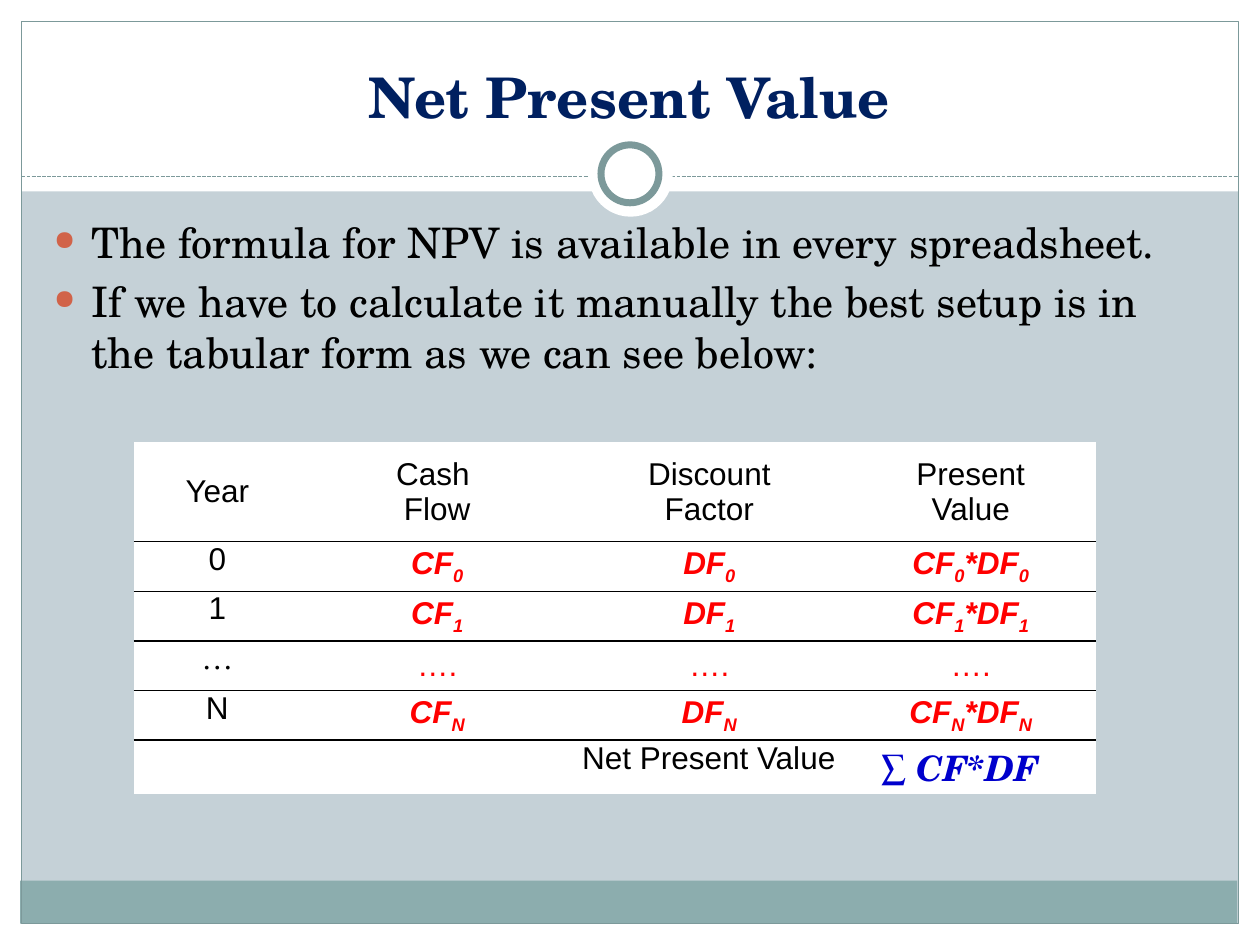
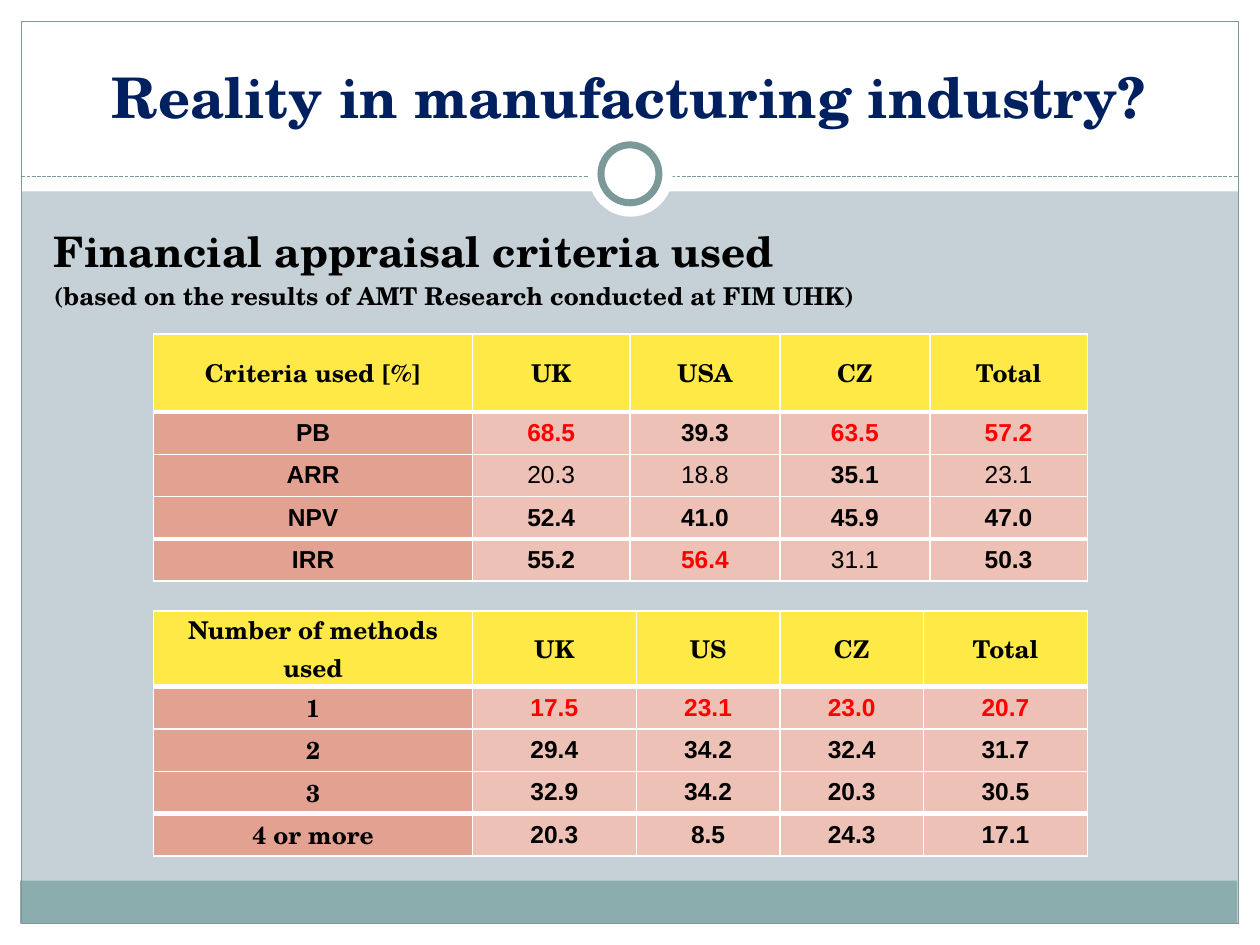
from lxml.etree import SubElement
from pptx import Presentation
from pptx.dml.color import RGBColor
from pptx.enum.dml import MSO_LINE
from pptx.enum.shapes import MSO_CONNECTOR, MSO_SHAPE
from pptx.enum.text import MSO_ANCHOR, PP_ALIGN
from pptx.oxml.ns import qn
from pptx.util import Inches, Pt

COLOURS = {
    "ground": "C5D1D7", "white": "FFFFFF", "band": "8CADAE", "frame": "7C999A",
    "title": "002060", "text": "000000", "bullet": "D16349", "red": "FF0000",
    "sum": "0000CC", "header": "FFE947", "label": "E3A192", "value": "EDC1B6",
}
RGB = {name: RGBColor.from_string(code) for name, code in COLOURS.items()}
SERIF, SANS = "TeX Gyre Schola", "Arial"
PLAIN_TABLE = "{2D5ABB26-0587-4C30-8999-92F81FD0307C}"

prs = Presentation()
prs.slide_width, prs.slide_height = Inches(10), Inches(7.5)
STEP = prs.slide_width / 100  # the grid has 100 columns and 75 rows
prs.slide_master.background.fill.solid()
prs.slide_master.background.fill.fore_color.rgb = RGB["ground"]


def write(frame, text, colour="text", paragraph_format=None, **font_format):
    """Write one paragraph per line; parts between tildes are subscripts."""
    frame.word_wrap = True
    for number, line in enumerate(text.split("\n")):
        paragraph = frame.add_paragraph() if number else frame.paragraphs[0]
        for key, value in (paragraph_format or {}).items():
            setattr(paragraph, key, value)
        for position, part in enumerate(line.split("~")):
            if not part:
                continue
            run = paragraph.add_run()
            run.text = part
            run.font.color.rgb = RGB[colour]
            for key, value in font_format.items():
                setattr(run.font, key, value)
            if position % 2:
                run.font._element.set("baseline", "-25000")


def add_grid(slide, left, top, columns, rows, cells):
    """Add a table; each cell is (text, fill, borders, cell format, text format)."""
    table = slide.shapes.add_table(
        len(rows), len(columns), int(left * STEP), int(top * STEP),
        int(sum(columns) * STEP), int(sum(rows) * STEP)).table
    table.first_row = table.horz_banding = False
    table._tbl.tblPr.find(qn("a:tableStyleId")).text = PLAIN_TABLE
    for column, width in zip(table.columns, columns):
        column.width = int(width * STEP)
    for row, height in zip(table.rows, rows):
        row.height = int(height * STEP)
    for cell, content in zip(table.iter_cells(), cells):
        text, fill, borders, cell_format, text_format = content
        for key, value in {"margin_left": Inches(0.08), "margin_right": Inches(0.08),
                           "margin_top": 0, "margin_bottom": 0,
                           "vertical_anchor": MSO_ANCHOR.MIDDLE, **cell_format}.items():
            setattr(cell, key, value)
        for side, (colour, points) in borders.items():
            line = SubElement(cell._tc.get_or_add_tcPr(), qn("a:ln" + side), w=str(Pt(points)))
            SubElement(SubElement(line, qn("a:solidFill")), qn("a:srgbClr"), val=COLOURS[colour])
        cell.fill.solid()
        cell.fill.fore_color.rgb = RGB[fill]
        write(cell.text_frame, text, **text_format)


# Shared bands, frame, ring, title and body
parts = [  # shape, left, top, width, height, fill, line width
    (MSO_SHAPE.RECTANGLE, 0, 73.3, 100, 1.7, "white", 0),
    (MSO_SHAPE.RECTANGLE, 0, 0, 100, 15.2, "white", 0),
    (MSO_SHAPE.RECTANGLE, 0, 0, 1.7, 75, "white", 0),
    (MSO_SHAPE.RECTANGLE, 98.3, 0, 1.7, 75, "white", 0),
    (MSO_SHAPE.RECTANGLE, 1.6, 69.9, 96.6, 3.4, "band", 0),
    (MSO_SHAPE.RECTANGLE, 1.7, 1.7, 96.6, 71.6, None, 0.75),
    (None, 1.7, 14, 96.6, 0, None, 0.75),
    (MSO_SHAPE.OVAL, 46.7, 10.5, 6.7, 6.7, "white", 0),
    (MSO_SHAPE.OVAL, 47.7, 11.5, 4.6, 4.6, "white", 4),
]
slides, bodies = [], []
for heading, body_top in [("Net Present Value", 16.7),
                          ("Reality in manufacturing industry?", 17.4)]:
    slide = prs.slides.add_slide(prs.slide_layouts[5])
    for kind, *place, fill, line_width in parts:
        left, top, width, height = (int(length * STEP) for length in place)
        if kind is None:
            part = slide.shapes.add_connector(
                MSO_CONNECTOR.STRAIGHT, left, top, left + width, top)
            part.line.dash_style = MSO_LINE.SQUARE_DOT
            SubElement(part._element.spPr, qn("a:effectLst"))
        else:
            part = slide.shapes.add_shape(kind, left, top, width, height)
            part.shadow.inherit = False
            if fill:
                part.fill.solid()
                part.fill.fore_color.rgb = RGB[fill]
            else:
                part.fill.background()
        if line_width:
            part.line.color.rgb = RGB["frame"]
            part.line.width = Pt(line_width)
        else:
            part.line.fill.background()

    title = slide.shapes.title
    slide.shapes._spTree.append(title._element)  # in front of the white band
    for key, length in {"left": 3.3, "top": 2.5, "width": 93.3, "height": 8.3}.items():
        setattr(title, key, int(length * STEP))
    title.text_frame.vertical_anchor = MSO_ANCHOR.BOTTOM
    write(title.text_frame, heading, "title", {"alignment": PP_ALIGN.CENTER},
          name=SERIF, size=Pt(32), bold=True)
    body = slide.shapes.add_textbox(
        *(int(length * STEP) for length in (3.3, body_top, 91.6, 50)))
    slides.append(slide)
    bodies.append(body.text_frame)

# Net Present Value: bullets
write(bodies[0], "The formula for NPV is available in every spreadsheet.\n"
      "If we have to calculate it manually the best setup is in the tabular form "
      "as we can see below:",
      paragraph_format={"space_before": Pt(5)}, name=SERIF, size=Pt(24))
for paragraph in bodies[0].paragraphs:
    properties = paragraph._p.get_or_add_pPr()
    properties.set("marL", str(Inches(0.3)))
    properties.set("indent", str(-Inches(0.3)))
    SubElement(SubElement(properties, qn("a:buClr")), qn("a:srgbClr"), val=COLOURS["bullet"])
    SubElement(properties, qn("a:buSzPct"), val="65000")
    SubElement(properties, qn("a:buChar"), char="●")

# Net Present Value: calculation table and its sum row
centred = {"alignment": PP_ALIGN.CENTER}
right = {"alignment": PP_ALIGN.RIGHT}
top_anchor = {"vertical_anchor": MSO_ANCHOR.TOP}
plain = {"name": SANS, "size": Pt(18), "paragraph_format": centred}
formula = {**plain, "colour": "red", "bold": True, "italic": True}
underline = {"B": ("text", 1)}

cells = [(head, "white", underline, {}, plain)
         for head in ("Year", "Cash \nFlow", "Discount\nFactor", "Present\nValue")]
for year in ("0", "1", "…", "N"):
    if year == "…":
        year_style = {**plain, "name": "Times New Roman"}
        terms, term_style = ["…."] * 3, {**plain, "colour": "red"}
    else:
        year_style, term_style = plain, formula
        terms = [f"CF~{year}~", f"DF~{year}~", f"CF~{year}~*DF~{year}~"]
    cells.append((year, "white", underline, top_anchor, year_style))
    cells += [(term, "white", underline, {}, term_style) for term in terms]
add_grid(slides[0], 10.6, 35.1, [13.3, 21.6, 21.6, 19.9], [7.9] + [3.94] * 4, cells)

add_grid(slides[0], 10.6, 58.8, [56.5, 19.9], [4.2], [
    ("Net Present Value", "white", {}, top_anchor, {**plain, "paragraph_format": right}),
    ("∑ CF*DF", "white", {}, {"margin_right": Inches(0.45)},
     {"name": SERIF, "size": Pt(20), "colour": "sum", "bold": True, "italic": True,
      "paragraph_format": right}),
])

# Reality in manufacturing industry: heading and survey tables
write(bodies[1], "Financial appraisal criteria used\n"
      "(based on the results of AMT Research conducted at FIM UHK)",
      paragraph_format={"space_before": Pt(3)}, name=SERIF, size=Pt(24), bold=True)
bodies[1].paragraphs[1].runs[0].font.size = Pt(14)

criteria = [
    ("Criteria used [%]", "UK", "USA", "CZ", "Total"),
    ("PB", 68.5, 39.3, 63.5, 57.2),
    ("ARR", 20.3, 18.8, 35.1, 23.1),
    ("NPV", 52.4, 41.0, 45.9, 47.0),
    ("IRR", 55.2, 56.4, 31.1, 50.3),
]
methods = [
    ("Number of methods used", "UK", "US", "CZ", "Total"),
    ("1", 17.5, 23.1, 23.0, 20.7),
    ("2", 29.4, 34.2, 32.4, 31.7),
    ("3", 32.9, 34.2, 20.3, 30.5),
    ("4 or more", 20.3, 8.5, 24.3, 17.1),
]
surveys = [  # data, top, columns, header height, label font
    (criteria, 26.5, [25.3, 12.5, 11.9, 11.9, 12.5], 6.2, SANS),
    (methods, 48.5, [25.3, 13, 11.4, 11.4, 13], 6, SERIF),
]
for data, top, columns, header_height, label_font in surveys:
    cells = []
    for r, record in enumerate(data):
        # Thick rules set off the header and the last row
        borders = {"L": ("white", 1), "R": ("white", 1),
                   "T": ("white", 3 if r in (1, 4) else 1),
                   "B": ("white", 3 if r in (0, 3) else 1)}
        for c, entry in enumerate(record):
            style = {"size": Pt(14), "bold": True, "name": SANS, "paragraph_format": centred}
            if r == 0:
                fill = "header"
                style["name"] = SERIF
            elif c == 0:
                fill = "label"
                style["name"] = label_font
            else:
                fill = "value"
                column_values = [other[c] for other in data[1:]]
                if data is criteria:  # highest share in red, lowest in light type
                    highlighted = entry == max(column_values)
                    style["bold"] = entry != min(column_values)
                else:
                    highlighted = r == 1
                style["colour"] = "red" if highlighted else "text"
            cells.append((str(entry), fill, borders, {}, style))
    add_grid(slides[1], 12.2, top, columns, [header_height] + [3.36] * 4, cells)

prs.save("out.pptx")
